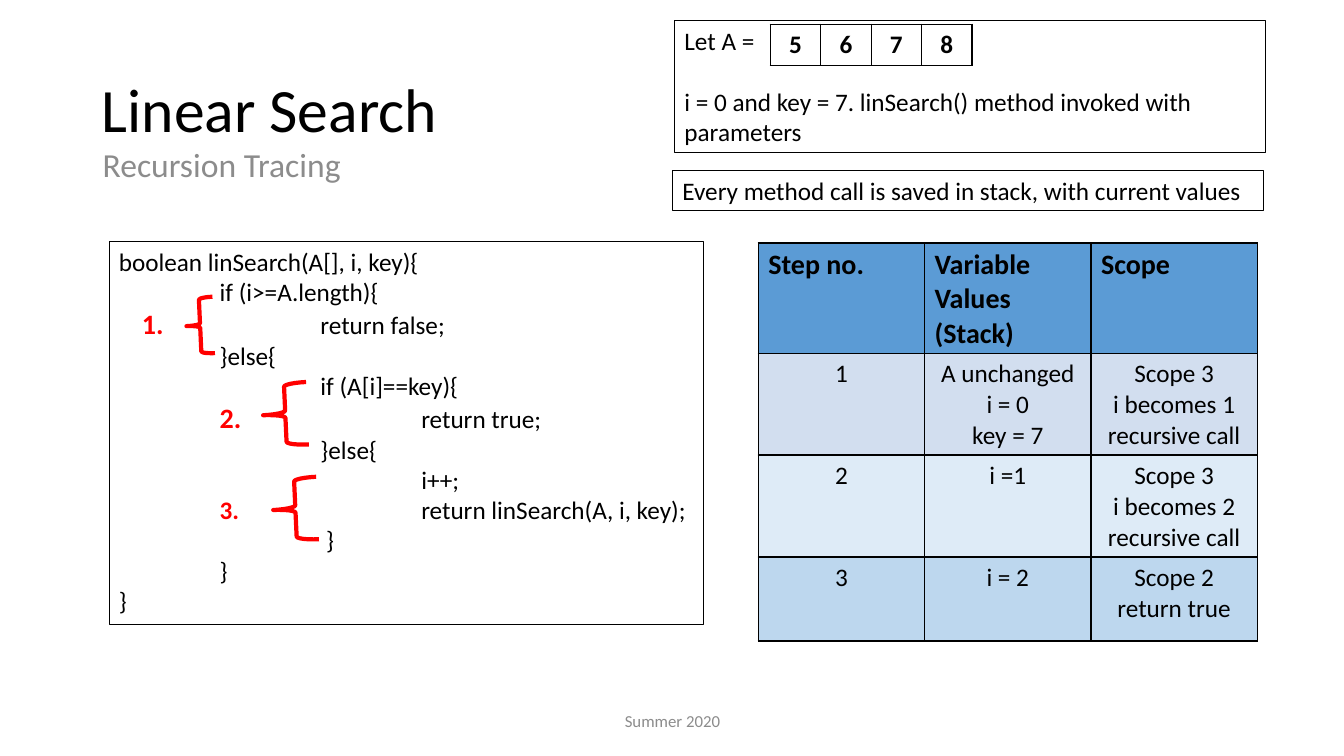
import pptx
import pptx.dml.color
import pptx.enum.shapes
import pptx.enum.text
import pptx.oxml
import pptx.oxml.ns
import pptx.util
from pptx.util import Inches

ALIGN = pptx.enum.text.PP_ALIGN
ANCHOR = pptx.enum.text.MSO_ANCHOR
SHAPE = pptx.enum.shapes.MSO_SHAPE
BLACK, GREY, RED = "000000", "8C8C8C", "FF0000"

# Each line: tabs before the label, label, label size, indented code
CODE = [
    ("", "", 18, "boolean linSearch(A[], i, key){"),
    ("", "", 18, "\tif (i>=A.length){"),
    ("\t", "1.", 20, "\t\treturn false;"),
    ("", "", 18, "\t}else{"),
    ("", "", 18, "\t\tif (A[i]==key){"),
    ("\t", "2.", 20, "\t\treturn true;"),
    ("", "", 18, "\t\t}else{"),
    ("", "", 18, "\t\t\ti++;"),
    ("\t", "3.", 18, "\t\treturn linSearch(A, i, key);"),
    ("", "", 18, "\t\t }"),
    ("", "", 18, "\t}"),
    ("", "", 18, "}"),
]
BRACES = [(0.77, 0.56, 0.27, 0.56), (1.53, 1.41, 0.44, 0.62), (1.63, 2.35, 0.44, 0.62)]
HEADINGS = [["Step no."], ["Variable \vValues (Stack)"], ["Scope"]]
STEP_1 = [["1"], ["A unchanged", "i = 0", "key = 7"], ["Scope 3", "i becomes 1", "recursive call"]]
STEP_2 = [["2"], ["i =1"], ["Scope 3", "i becomes 2", "recursive call"]]
STEP_3 = [["3"], ["i = 2"], ["Scope 2 return true"]]


def rgb(color):
    return pptx.dml.color.RGBColor.from_string(color)


def add_run(p, text, size=18, color=BLACK, bold=False):
    """Add a run, turning each vertical tab into a line break."""
    for n, part in enumerate(text.split("\v")):
        if n:
            p.add_line_break()
        r = p.add_run()
        r.text = part
        r.font.name = "Calibri"
        r.font.size = pptx.util.Pt(size)
        r.font.bold = bold
        r.font.color.rgb = rgb(color)


def add_paragraph(tf, first, align=ALIGN.LEFT):
    p = tf.paragraphs[0] if first else tf.add_paragraph()
    p.alignment = align
    return p


def set_tabs(p, stops):
    tabs = pptx.oxml.parse_xml("<a:tabLst %s/>" % pptx.oxml.ns.nsdecls("a"))
    for stop in stops:
        tab = tabs.makeelement(pptx.oxml.ns.qn("a:tab"), {"pos": str(Inches(stop)), "algn": "l"})
        tabs.append(tab)
    p._p.get_or_add_pPr().append(tabs)


def add_frame(s, x, y, w, h, line_width):
    """Add an unfilled black-edged box and return its text frame."""
    sp = s.shapes.add_shape(SHAPE.RECTANGLE, Inches(x), Inches(y), Inches(w), Inches(h))
    sp.shadow.inherit = False
    sp.fill.background()
    sp.line.color.rgb = rgb(BLACK)
    sp.line.width = pptx.util.Pt(line_width)
    tf = sp.text_frame
    tf.word_wrap = True
    tf.vertical_anchor = ANCHOR.TOP
    return tf


def add_label(s, x, y, w, h, text, size, align=ALIGN.LEFT, anchor=ANCHOR.TOP):
    tf = s.shapes.add_textbox(Inches(x), Inches(y), Inches(w), Inches(h)).text_frame
    tf.word_wrap = True
    tf.vertical_anchor = anchor
    p = add_paragraph(tf, True, align)
    add_run(p, text, size, GREY)


def add_title(s, x, y, w, h):
    title = s.shapes.title
    title.left, title.top, title.width, title.height = map(Inches, (x, y, w, h))
    title.text_frame.vertical_anchor = ANCHOR.BOTTOM
    p = add_paragraph(title.text_frame, True)
    p.line_spacing = 0.9
    add_run(p, "Linear Search", 44)


def format_cell(cell, fill):
    tc_pr = cell._tc.get_or_add_tcPr()
    for side in "LRTB":
        tc_pr.append(pptx.oxml.parse_xml(
            '<a:ln%s %s w="12700"><a:solidFill><a:srgbClr val="%s"/></a:solidFill></a:ln%s>'
            % (side, pptx.oxml.ns.nsdecls("a"), BLACK, side)))
    if fill:
        cell.fill.solid()
        cell.fill.fore_color.rgb = rgb(fill)
    else:
        cell.fill.background()


def add_grid(s, x, y, col_width, rows):
    """Rows are (height, fill, size, bold, align, cells); a cell is a list of paragraphs."""
    cols = len(rows[0][-1])
    height = sum(row[0] for row in rows)
    table = s.shapes.add_table(len(rows), cols, Inches(x), Inches(y),
                               Inches(col_width * cols), Inches(height)).table
    table.first_row = table.horz_banding = False
    for col in table.columns:
        col.width = Inches(col_width)
    for i, (row_height, fill, size, bold, align, cells) in enumerate(rows):
        table.rows[i].height = Inches(row_height)
        for j, lines in enumerate(cells):
            cell = table.cell(i, j)
            format_cell(cell, fill)
            for n, line in enumerate(lines):
                add_run(add_paragraph(cell.text_frame, n == 0, align), line, size, bold=bold)


def add_input(s, x, y, w, h):
    tf = add_frame(s, x, y, w, h, 0.75)
    add_run(add_paragraph(tf, True), "Let A =")
    p = add_paragraph(tf, False)
    p.space_before = pptx.util.Pt(22)
    add_run(p, "i = 0 and key = 7. linSearch() method invoked with parameters")
    values = [[value] for value in "5678"]
    add_grid(s, x + 0.95, y + 0.04, 0.5, [(0.41, None, 18, True, ALIGN.CENTER, values)])


def add_stack_note(s, x, y, w, h):
    tf = add_frame(s, x, y, w, h, 0.75)
    add_run(add_paragraph(tf, True), "Every method call is saved in stack, with current values")


def add_code(s, x, y, w, h):
    tf = add_frame(s, x, y, w, h, 0.25)
    for n, (lead, label, size, code) in enumerate(CODE):
        p = add_paragraph(tf, n == 0)
        set_tabs(p, [0.23, 1, 2, 3] if label == "1." else [1, 2, 3])
        if label:
            add_run(p, lead)
            add_run(p, label, size, RED, True)
        add_run(p, code)
    for dx, dy, bw, bh in BRACES:
        sp = s.shapes.add_shape(SHAPE.LEFT_BRACE, Inches(x + dx), Inches(y + dy),
                                Inches(bw), Inches(bh))
        sp.shadow.inherit = False
        sp.rotation = 357.4
        sp.fill.background()
        sp.line.color.rgb = rgb(RED)
        sp.line.width = pptx.util.Pt(3)


def add_trace(s, x, y, col_width):
    center = ALIGN.CENTER
    add_grid(s, x, y, col_width, [(1.1, "5B9BD5", 20, True, ALIGN.LEFT, HEADINGS),
                                  (1, "D2DEEF", 18, False, center, STEP_1)])
    add_grid(s, x, y + 2.11, col_width, [(1, "DEEBF7", 18, False, center, STEP_2)])
    add_grid(s, x, y + 3.12, col_width, [(0.83, "BDD7EE", 18, False, center, STEP_3)])


def main():
    prs = pptx.Presentation()
    prs.slide_width, prs.slide_height = Inches(13.33), Inches(7.5)
    s = prs.slides.add_slide(prs.slide_layouts.get_by_name("Title Only"))
    add_title(s, 0.91, 0.63, 11.5, 0.87)
    add_label(s, 0.92, 1.38, 3.22, 0.62, "Recursion Tracing", 24)
    add_label(s, 4.42, 6.95, 4.5, 0.4, "Summer 2020", 12, ALIGN.CENTER, ANCHOR.MIDDLE)
    add_code(s, 1.08, 2.39, 5.89, 3.8)
    add_input(s, 6.69, 0.2, 5.86, 1.31)
    add_stack_note(s, 6.67, 1.69, 5.86, 0.4)
    add_trace(s, 7.52, 2.41, 1.65)
    prs.save("out.pptx")


if __name__ == "__main__":
    main()
